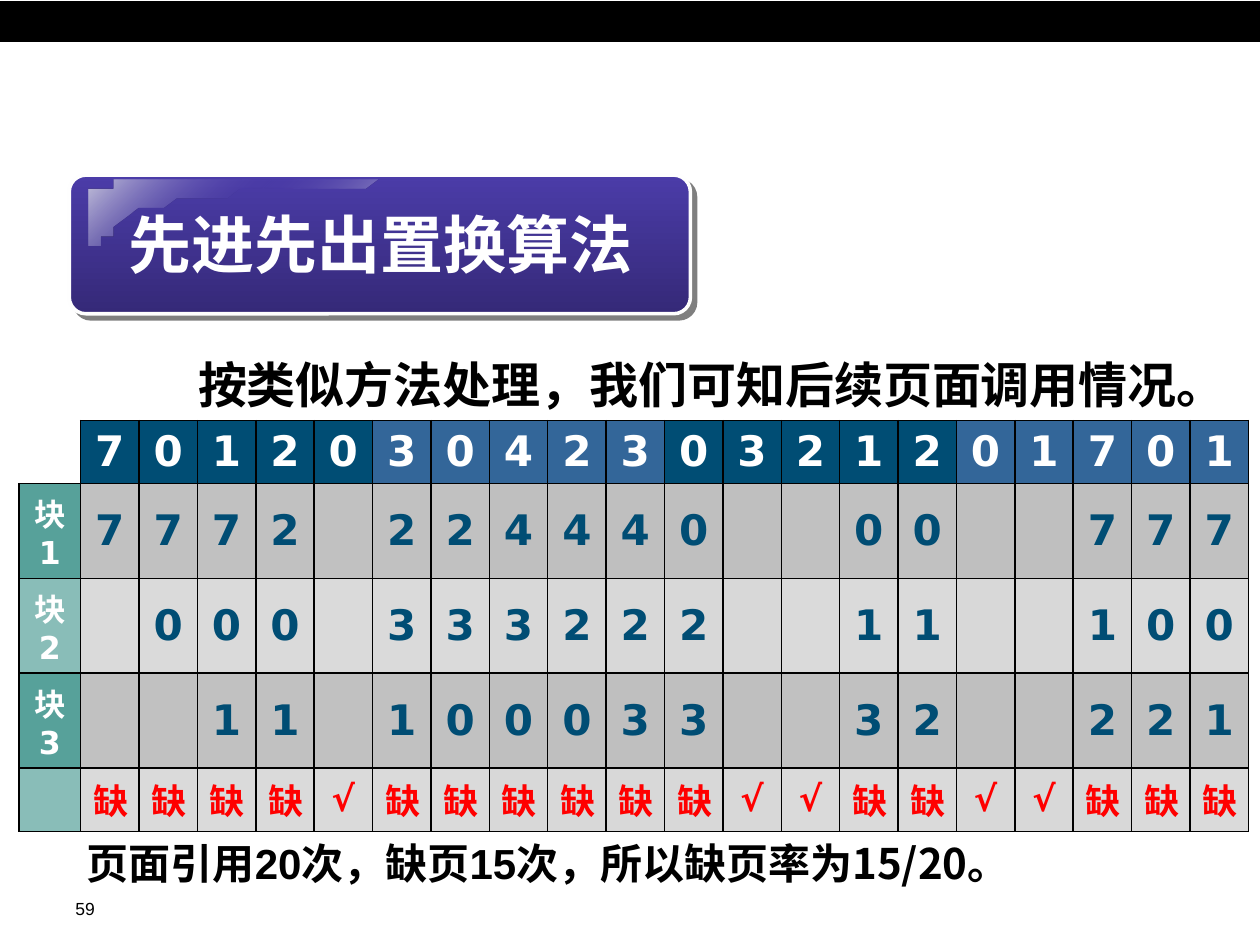
from dataclasses import dataclass
from typing import Any, Iterator

from lxml.etree import SubElement
from pptx import Presentation
from pptx.dml.color import RGBColor
from pptx.enum.shapes import MSO_SHAPE
from pptx.enum.text import MSO_ANCHOR, MSO_AUTO_SIZE, PP_ALIGN
from pptx.oxml import parse_xml
from pptx.oxml.ns import nsdecls, qn
from pptx.util import Inches, Pt

WIDTH, HEIGHT = Inches(10), Inches(7.5)
BLACK = RGBColor(0x00, 0x00, 0x00)
WHITE = RGBColor(0xFF, 0xFF, 0xFF)
NEAR_WHITE = RGBColor(0xFE, 0xFE, 0xFE)
RED = RGBColor(0xFF, 0x00, 0x00)
NAVY = RGBColor(0x00, 0x4D, 0x74)
BLUE = RGBColor(0x33, 0x66, 0x99)
TEAL = RGBColor(0x57, 0xA1, 0x9A)
GREY = RGBColor(0xB2, 0xB2, 0xB2)
VIOLET = RGBColor(0x4B, 0x3C, 0xA8)
DEEP_VIOLET = RGBColor(0x35, 0x29, 0x78)
LILAC = RGBColor(0xC4, 0xC2, 0xDA)
LATIN, DIGITS, CJK = "Arial", "DejaVu Sans", "Noto Sans CJK JP"


@dataclass(frozen=True)
class Box:
    left: float
    top: float
    width: float
    height: float

    def emu(self) -> tuple[int, int, int, int]:
        return (int(WIDTH * self.left / 100), int(HEIGHT * self.top / 100),
                int(WIDTH * self.width / 100), int(HEIGHT * self.height / 100))


@dataclass(frozen=True)
class TableRow:
    label: str
    entries: str
    height: float
    size: int
    color: RGBColor
    alpha: int = 100
    label_alpha: int = 100


@dataclass(frozen=True)
class Stop:
    position: int
    color: RGBColor
    alpha: int = 100


ROWS = [
    TableRow("", "70120304230321201701", 6.67, 24, WHITE),
    TableRow("块1", "7772 224440  00  777", 9.33, 24, NAVY, 80),
    TableRow("块2", " 000 333222  11  100", 9.33, 24, NAVY, 48, 70),
    TableRow("块3", "  11 100033  32  221", 9.33, 24, NAVY, 80),
    TableRow("", "缺缺缺缺√缺缺缺缺缺缺√√缺缺√√缺缺缺", 5.73, 20, RED, 48, 70),
]
TABLE = Box(1.5, 44.5, 97.6, 40.4)
LABEL_WIDTH = 4.9


def write(tf: Any, text: str, *, size: float, color: RGBColor = BLACK, font: str = LATIN,
          bold: bool = True, align: PP_ALIGN = PP_ALIGN.LEFT) -> None:
    p = tf.paragraphs[0]
    p.alignment = align
    r = p.add_run()
    r.text = text
    r.font.size, r.font.bold, r.font.name = Pt(size), bold, font
    r.font.color.rgb = color
    SubElement(r.font._element, qn("a:ea")).set("typeface", CJK)


def text_box(s: Any, box: Box, *, wrap: bool = True,
             anchor: MSO_ANCHOR = MSO_ANCHOR.TOP) -> Any:
    tf = s.shapes.add_textbox(*box.emu()).text_frame
    tf.auto_size = MSO_AUTO_SIZE.NONE
    tf.word_wrap, tf.vertical_anchor = wrap, anchor
    return tf


def set_fill(fill: Any, color: RGBColor, alpha: int = 100) -> None:
    fill.solid()
    fill.fore_color.rgb = color
    if alpha < 100:
        clr = fill._xPr.find(qn("a:solidFill"))[0]
        SubElement(clr, qn("a:alpha")).set("val", str(alpha * 1000))


def set_gradient(sp: Any, stops: list[Stop], angle: int) -> None:
    sp.fill.gradient()
    grad = sp._element.spPr.find(qn("a:gradFill"))
    gs = "".join(
        f'<a:gs pos="{stop.position * 1000}"><a:srgbClr val="{stop.color}">'
        f'<a:alpha val="{stop.alpha * 1000}"/></a:srgbClr></a:gs>' for stop in stops)
    grad.getparent().replace(grad, parse_xml(
        f'<a:gradFill {nsdecls("a")} rotWithShape="1"><a:gsLst>{gs}</a:gsLst>'
        f'<a:lin ang="{angle * 60000}" scaled="0"/></a:gradFill>'))


def set_borders(cell: Any, sides: str) -> None:
    for i, side in enumerate(sides):
        cell._tc.get_or_add_tcPr().insert(i, parse_xml(
            f'<a:ln{side} {nsdecls("a")} w="12700"><a:solidFill>'
            f'<a:srgbClr val="{BLACK}"/></a:solidFill></a:ln{side}>'))


def add_page_table(s: Any) -> None:
    count = len(ROWS[0].entries)
    frame = s.shapes.add_table(len(ROWS), count + 1, *TABLE.emu())
    table = frame.table
    table.first_row = table.horz_banding = False
    for c, column in enumerate(table.columns):
        share = (TABLE.width - LABEL_WIDTH) / count if c else LABEL_WIDTH
        column.width = int(WIDTH * share / 100)
    for i, row in enumerate(ROWS):
        table.rows[i].height = int(HEIGHT * row.height / 100)
        for c, text in enumerate([row.label, *row.entries]):
            cell = table.cell(i, c)
            cell.vertical_anchor = MSO_ANCHOR.MIDDLE
            if i == 0 and c == 0:
                cell.fill.background()
            elif c == 0:
                set_fill(cell.fill, TEAL, row.label_alpha)
            elif i == 0:
                set_fill(cell.fill, BLUE if (c - 1) // 5 % 2 else NAVY)
            else:
                lift = 2 if 8 <= c <= 12 or 16 <= c <= 18 else 0
                set_fill(cell.fill, GREY, row.alpha + lift)
            set_borders(cell, "RB" if i == c == 0 else "LRTB")
            if text.strip():
                write(cell.text_frame, text, size=row.size if c else 18,
                      color=row.color if c else WHITE, font=DIGITS, align=PP_ALIGN.CENTER)


def curve(*points: tuple[float, float], steps: int = 16) -> Iterator[tuple[float, float]]:
    for k in range(1, steps + 1):
        t = k / steps
        weights = ((1 - t) ** 3, 3 * t * (1 - t) ** 2, 3 * t * t * (1 - t), t ** 3)
        yield (sum(w * x for w, (x, _) in zip(weights, points)),
               sum(w * y for w, (_, y) in zip(weights, points)))


def add_title(s: Any) -> None:
    sp = s.shapes.add_shape(MSO_SHAPE.ROUNDED_RECTANGLE, *Box(5.5, 18.53, 49.3, 14.67).emu())
    sp.adjustments[0] = 0.12
    set_gradient(sp, [Stop(0, VIOLET), Stop(100, DEEP_VIOLET)], 90)
    sp.line.color.rgb, sp.line.width = NEAR_WHITE, Pt(2)
    sp._element.spPr.append(parse_xml(
        f'<a:effectLst {nsdecls("a")}><a:outerShdw dist="53340" dir="2700000" algn="ctr">'
        f'<a:srgbClr val="{BLACK}"><a:alpha val="50000"/></a:srgbClr>'
        '</a:outerShdw></a:effectLst>'))

    start, left_top, left_low, tip = (12, 19.2), (7.1, 20.67), (7.1, 26.4), (31.3, 19.2)
    middle = (13.7, 21.33)
    outline = [
        *curve(start, (9.3, 19.2), (7.1, 19.87), left_top), left_low,
        *curve(left_low, (8.2, 26.53), (7.6, 23.07), middle),
        *curve(middle, (19.9, 19.73), (31.6, 19.6), tip),
    ]
    builder = s.shapes.build_freeform(*start, scale=(WIDTH / 100, HEIGHT / 100))
    builder.add_line_segments(outline, close=True)
    gloss = builder.convert_to_shape()
    gloss.shadow.inherit = False
    gloss.line.fill.background()
    set_gradient(gloss, [Stop(0, LILAC), Stop(50, VIOLET, 0), Stop(100, LILAC)], 45)

    write(text_box(s, Box(6.4, 21.07, 47.6, 9.33)), "先进先出置换算法",
          size=36, color=WHITE, align=PP_ALIGN.CENTER)


def main() -> None:
    prs = Presentation()
    prs.slide_width, prs.slide_height = WIDTH, HEIGHT
    s = prs.slides.add_slide(prs.slide_layouts[6])

    band = s.shapes.add_shape(MSO_SHAPE.RECTANGLE, *Box(0, 0.13, 100, 4.27).emu())
    band.shadow.inherit = False
    set_fill(band.fill, BLACK)
    band.line.color.rgb, band.line.width = BLACK, Pt(0.75)

    write(text_box(s, Box(5, 94.4, 6.7, 3.33)), "59", size=10, bold=False)
    add_page_table(s)
    tf = text_box(s, Box(5.9, 88, 90.2, 6.67))
    write(tf, "页面引用20次，缺页15次，所以", size=24)
    write(tf, "缺页率为15/20。", size=24, font=CJK)
    write(text_box(s, Box(13, 36.4, 87, 8.4), wrap=False, anchor=MSO_ANCHOR.MIDDLE),
          "按类似方法处理，我们可知后续页面调用情况。", size=28, align=PP_ALIGN.CENTER)
    add_title(s)
    prs.save("out.pptx")


if __name__ == "__main__":
    main()
